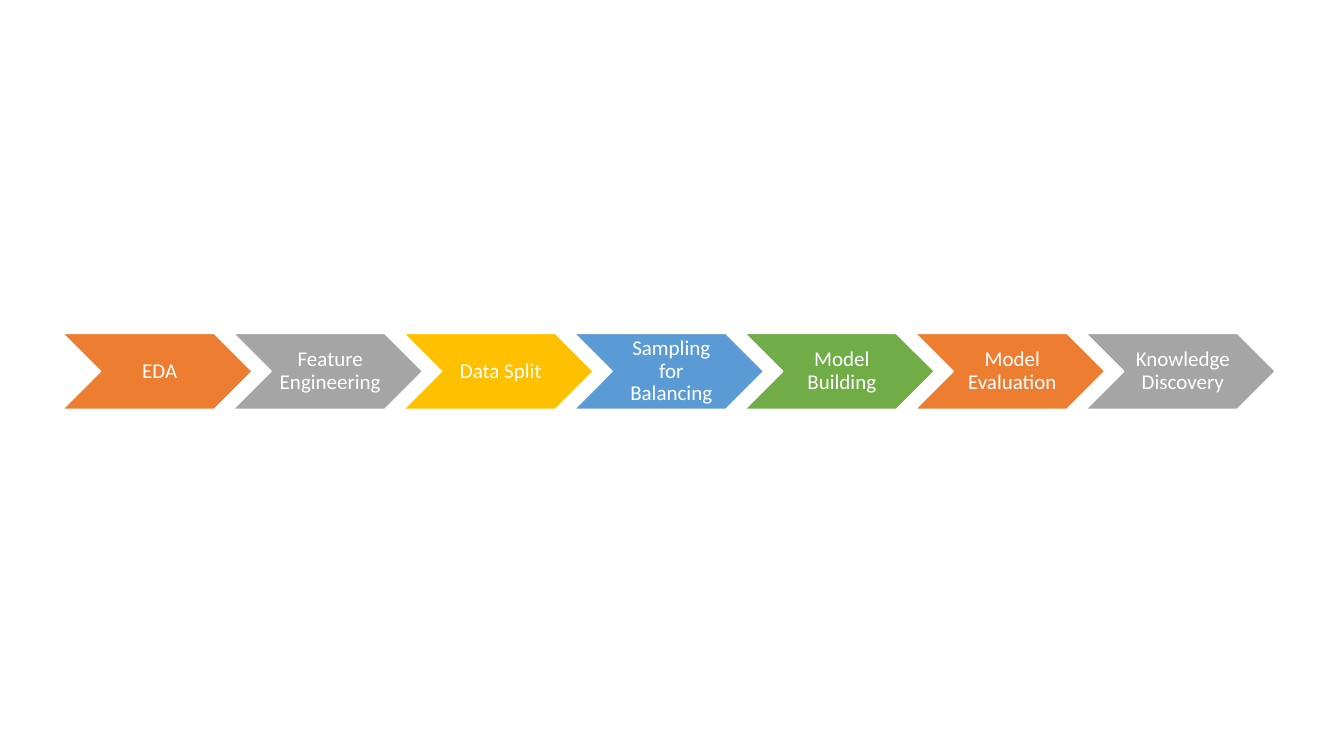
import pptx
import pptx.util
import pptx.dml.color
import pptx.enum.shapes
import pptx.enum.text
from dataclasses import dataclass

Pt = pptx.util.Pt
RGB = pptx.dml.color.RGBColor.from_string


@dataclass(frozen=True)
class Theme:
    font: str = "Calibri"
    size: float = 15
    white: str = "FFFFFF"
    accents: tuple = ("ED7D31", "A5A5A5", "FFC000", "5B9BD5", "70AD47")


THEME = Theme()
STEPS = ["EDA", "Feature Engineering", "Data Split", "Sampling for Balancing",
         "Model Building", "Model Evaluation", "Knowledge Discovery"]
PITCH_RATIO = 0.9


def apply(target, values):
    for name, value in values.items():
        setattr(target, name, value)


def add_step(s, box, text, color):
    sp = s.shapes.add_shape(pptx.enum.shapes.MSO_SHAPE.CHEVRON, *map(Pt, box))
    sp.shadow.inherit = False
    sp.fill.solid()
    sp.fill.fore_color.rgb = RGB(color)
    sp.line.color.rgb = RGB(THEME.white)
    sp.line.width = Pt(1)
    tf = sp.text_frame
    apply(tf, {"word_wrap": True,
               "vertical_anchor": pptx.enum.text.MSO_ANCHOR.MIDDLE,
               "margin_left": Pt(4.8), "margin_right": Pt(1.6),
               "margin_top": Pt(1.6), "margin_bottom": Pt(1.6)})
    p = tf.paragraphs[0]
    apply(p, {"alignment": pptx.enum.text.PP_ALIGN.CENTER, "line_spacing": 0.9})
    r = p.add_run()
    r.text = text
    apply(r.font, {"name": THEME.font, "size": Pt(THEME.size)})
    r.font.color.rgb = RGB(THEME.white)


def add_process(s, box, steps):
    left, top, width, height = box
    step_width = width / (1 + PITCH_RATIO * (len(steps) - 1))
    for i, text in enumerate(steps):
        step_left = left + i * PITCH_RATIO * step_width
        color = THEME.accents[i % len(THEME.accents)]
        add_step(s, (step_left, top, step_width, height), text, color)


def main():
    prs = pptx.Presentation()
    apply(prs, {"slide_width": Pt(960), "slide_height": Pt(540)})
    s = prs.slides.add_slide(prs.slide_layouts[6])
    add_process(s, (44.8, 238.2, 866.2, 54.1), STEPS)
    prs.save("out.pptx")


if __name__ == "__main__":
    main()
